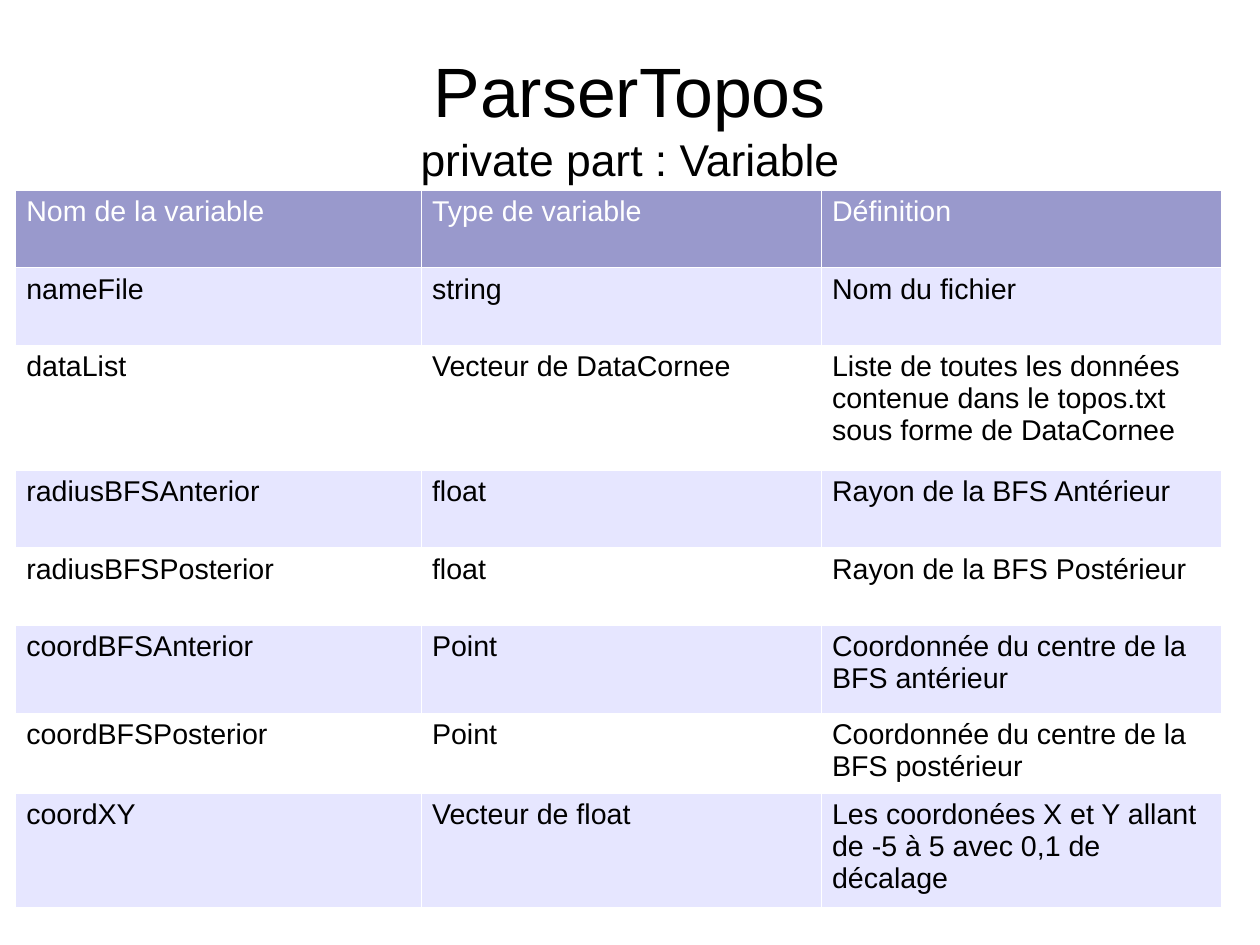
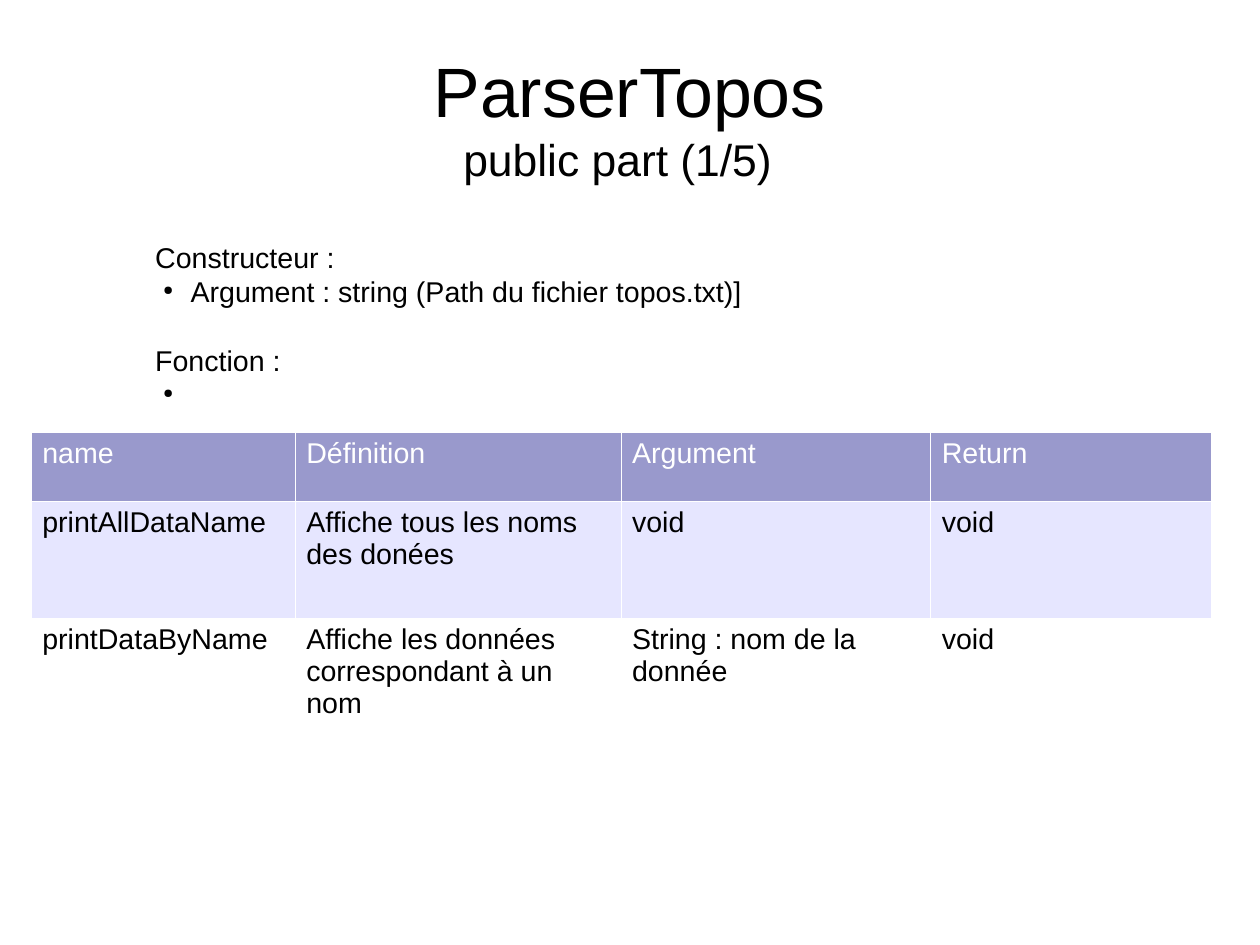
from lxml import etree
from pptx import Presentation
from pptx.dml.color import RGBColor
from pptx.enum.text import MSO_ANCHOR, PP_ALIGN
from pptx.oxml.ns import qn
from pptx.util import Inches, Pt

MIDDLE = MSO_ANCHOR.MIDDLE
TOP = MSO_ANCHOR.TOP
CENTER = PP_ALIGN.CENTER
LEFT = PP_ALIGN.LEFT

COLORS = {
    "text": "000000",
    "header_text": "FFFFFF",
    "header": "9999CC",
    "odd_row": "E6E6FF",
    "even_row": "FFFFFF",
    "border": "FFFFFF",
}
FONT = "Arial"
CENTIMETERS_PER_INCH = 2.54
SLIDE_WIDTH = Inches(28 / CENTIMETERS_PER_INCH)
SLIDE_HEIGHT = Inches(21 / CENTIMETERS_PER_INCH)
BORDER_WIDTH = Pt(0.06)
TITLE_BOX = (0.55, 0.33, 9.92, 1.38)
BULLET = {"character": "●", "size": "45000", "margin": 0.31, "indent": -0.24}

VARIABLES = [
    ("Nom de la variable", "Type de variable", "Définition"),
    ("nameFile", "string", "Nom du fichier"),
    ("dataList", "Vecteur de DataCornee",
     "Liste de toutes les données contenue dans le topos.txt sous forme de DataCornee"),
    ("radiusBFSAnterior", "float", "Rayon de la BFS Antérieur"),
    ("radiusBFSPosterior", "float", "Rayon de la BFS Postérieur"),
    ("coordBFSAnterior", "Point", "Coordonnée du centre de la BFS antérieur"),
    ("coordBFSPosterior", "Point", "Coordonnée du centre de la BFS postérieur"),
    ("coordXY", "Vecteur de float",
     "Les coordonées X et Y allant de -5 à 5 avec 0,1 de décalage"),
]
FUNCTIONS = [
    ("name", "Définition", "Argument", "Return"),
    ("printAllDataName", "Affiche tous les noms des donées", "void", "void"),
    ("printDataByName", "Affiche les données correspondant à un nom",
     "String : nom de la donnée", "void"),
]
CONSTRUCTOR_LINES = [
    ("Constructeur :", False, 0),
    ("Argument : string (Path du fichier topos.txt)]", True, 0),
    ("Fonction :", False, 21.5),
    ("\t", True, 0),
]


def set_attributes(target, values):
    for name, value in values.items():
        setattr(target, name, value)


def write_run(paragraph, text, size, color="text"):
    run = paragraph.add_run()
    run.text = text
    set_attributes(run.font, {"name": FONT, "size": Pt(size)})
    run.font.color.rgb = RGBColor.from_string(COLORS[color])


def add_text_frame(slide, box, margins, anchor, wrap):
    frame = slide.shapes.add_textbox(*map(Inches, box)).text_frame
    horizontal, vertical = map(Inches, margins)
    set_attributes(frame, {
        "margin_left": horizontal, "margin_right": horizontal,
        "margin_top": vertical, "margin_bottom": vertical,
        "vertical_anchor": anchor, "word_wrap": wrap,
    })
    return frame


def add_title(slide, box, title, subtitle):
    paragraph = add_text_frame(slide, box, (0, 0), MIDDLE, True).paragraphs[0]
    paragraph.alignment = CENTER
    write_run(paragraph, title, 44)
    paragraph.add_line_break()
    write_run(paragraph, subtitle, 28)


def add_bullet(paragraph):
    properties = paragraph._p.get_or_add_pPr()
    properties.set("marL", str(Inches(BULLET["margin"])))
    properties.set("indent", str(Inches(BULLET["indent"])))
    color = etree.SubElement(properties, qn("a:buClr"))
    etree.SubElement(color, qn("a:srgbClr"), val=COLORS["text"])
    etree.SubElement(properties, qn("a:buSzPct"), val=BULLET["size"])
    etree.SubElement(properties, qn("a:buChar"), char=BULLET["character"])


def add_outline(slide, box, lines):
    frame = add_text_frame(slide, box, (0.1, 0.05), TOP, False)
    for index, (text, bulleted, space_before) in enumerate(lines):
        paragraph = frame.add_paragraph() if index else frame.paragraphs[0]
        set_attributes(paragraph, {"alignment": LEFT, "space_before": Pt(space_before)})
        if bulleted:
            add_bullet(paragraph)
        write_run(paragraph, text, 18)


def add_borders(cell):
    properties = cell._tc.get_or_add_tcPr()
    for index, side in enumerate(("lnL", "lnR", "lnT", "lnB")):
        line = etree.Element(qn(f"a:{side}"), w=str(BORDER_WIDTH))
        fill = etree.SubElement(line, qn("a:solidFill"))
        etree.SubElement(fill, qn("a:srgbClr"), val=COLORS["border"])
        properties.insert(index, line)


def fill_cell(cell, text, fill, color):
    set_attributes(cell, {
        "margin_left": Inches(0.1), "margin_right": Inches(0.1),
        "margin_top": Inches(0.05), "margin_bottom": Inches(0.05),
        "vertical_anchor": TOP,
    })
    cell.fill.solid()
    cell.fill.fore_color.rgb = RGBColor.from_string(COLORS[fill])
    add_borders(cell)
    write_run(cell.text_frame.paragraphs[0], text, 18, color)


def add_data_table(slide, origin, widths, heights, rows):
    box = (*origin, sum(widths), sum(heights))
    table = slide.shapes.add_table(len(rows), len(widths), *map(Inches, box)).table
    table.horz_banding = False
    for column, width in zip(table.columns, widths):
        column.width = Inches(width)
    for index, (row, height, texts) in enumerate(zip(table.rows, heights, rows)):
        row.height = Inches(height)
        fill = "header" if index == 0 else "odd_row" if index % 2 else "even_row"
        color = "text" if index else "header_text"
        for cell, text in zip(row.cells, texts):
            fill_cell(cell, text, fill, color)


def build_variables_slide(slide):
    add_title(slide, TITLE_BOX, "ParserTopos", "private part : Variable")
    heights = [0.68, 0.68, 1.09, 0.68, 0.68, 0.77, 0.69, 0.99]
    add_data_table(slide, (0.13, 1.66), [3.55, 3.5, 3.5], heights, VARIABLES)


def build_functions_slide(slide):
    add_title(slide, TITLE_BOX, "ParserTopos", "public part (1/5)  ")
    widths = [2.31, 2.85, 2.71, 2.46]
    add_data_table(slide, (0.27, 3.78), widths, [0.6, 1.03, 1.03], FUNCTIONS)
    add_outline(slide, (1.26, 2.05, 5.57, 1.5), CONSTRUCTOR_LINES)


def main():
    presentation = Presentation()
    presentation.slide_width = SLIDE_WIDTH
    presentation.slide_height = SLIDE_HEIGHT
    blank_layout = presentation.slide_layouts[6]
    for build_slide in (build_variables_slide, build_functions_slide):
        build_slide(presentation.slides.add_slide(blank_layout))
    presentation.save("out.pptx")


if __name__ == "__main__":
    main()
